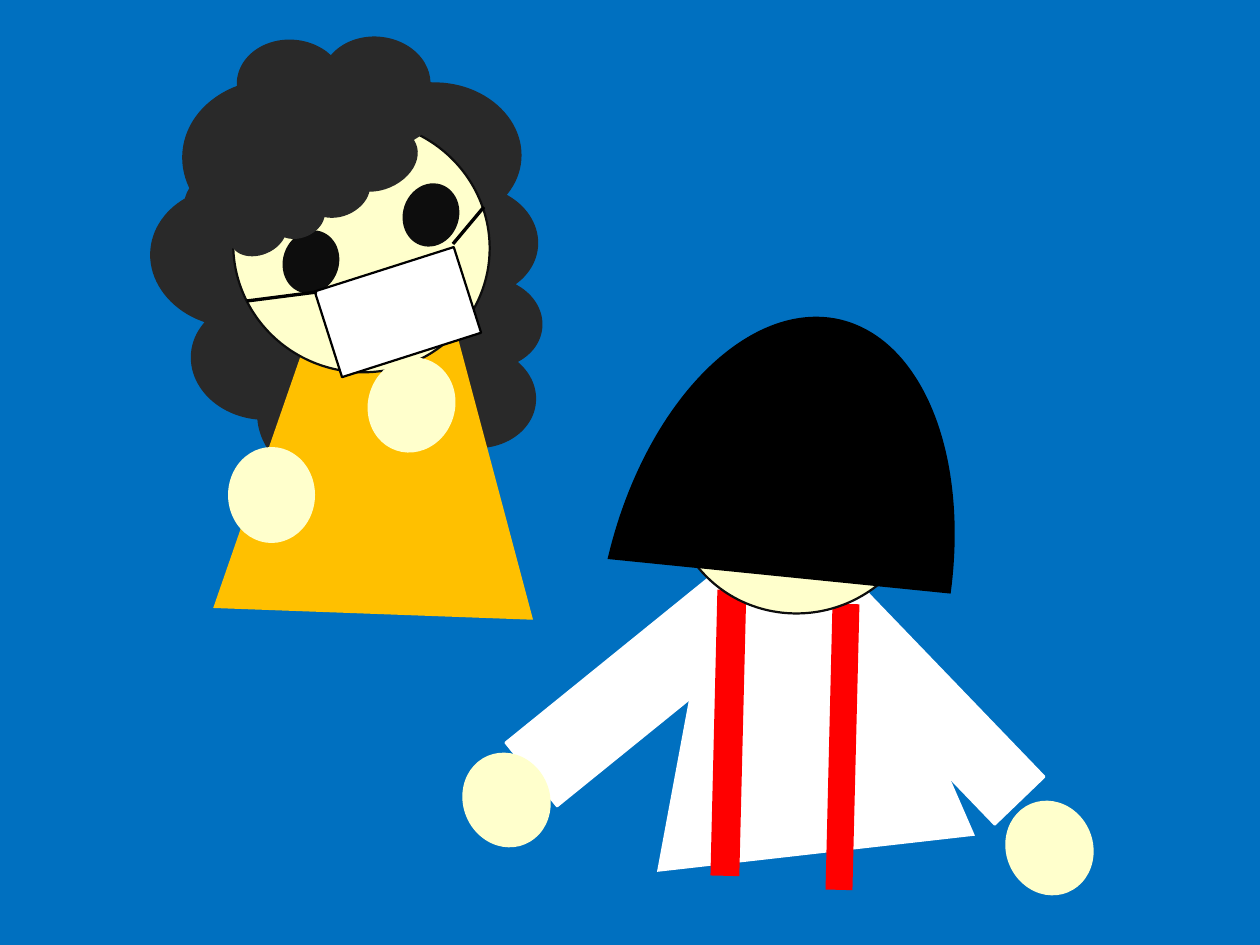
from dataclasses import dataclass

from lxml import etree
from pptx import Presentation
from pptx.dml.color import RGBColor
from pptx.enum.shapes import MSO_CONNECTOR, MSO_SHAPE
from pptx.oxml.ns import qn
from pptx.util import Emu, Pt

CLOUD = MSO_SHAPE.CLOUD
TRAPEZOID = MSO_SHAPE.TRAPEZOID
OVAL = MSO_SHAPE.OVAL
RECTANGLE = MSO_SHAPE.RECTANGLE
CHORD = MSO_SHAPE.CHORD
STRAIGHT = MSO_CONNECTOR.STRAIGHT

EMU_PER_PX = 5690
SLIDE_SIZE = (1260, 945)
HAND_SIZE = (87, 96)
EYE_SIZE = (56, 64)
FACE_SIZE = (257, 251)
GARMENT_SIZE = (320, 371)
GARMENT_TAPER = 0.355
DEGREE = 0.6
HAIR_ANGLES = (89.98, 255.46)


@dataclass(frozen=True)
class Theme:
    background: str = "0070C0"
    curls: str = "292929"
    skin: str = "FFFFCC"
    ink: str = "0D0D0D"
    black: str = "000000"
    white: str = "FFFFFF"
    dress: str = "FFC000"
    braces: str = "FF0000"
    outline: float = 1
    strap: float = 1.5


THEME = Theme()


def px(value):
    return Emu(value * EMU_PER_PX)


def color(value):
    return RGBColor.from_string(value)


def paint(fill, value):
    fill.solid()
    fill.fore_color.rgb = color(value)


def draw_line(line, value, width):
    paint(line.fill, value)
    line.width = Pt(width)


def add_part(parent, kind, position, size, fill, rotation=0, outline=None, adjustments=()):
    part = parent.shapes.add_shape(kind, *map(px, position + size))
    part.shadow.inherit = False
    part.rotation = rotation
    for index, value in enumerate(adjustments):
        part.adjustments[index] = value
    paint(part.fill, fill)
    if outline:
        draw_line(part.line, outline, THEME.outline)
    else:
        part.line.fill.background()


def add_hand(parent, position, rotation):
    add_part(parent, OVAL, position, HAND_SIZE, THEME.skin, rotation)


def add_face(parent, position, rotation):
    add_part(parent, OVAL, position, FACE_SIZE, THEME.skin, rotation, THEME.ink)


def add_garment(parent, position, fill, rotation):
    add_part(parent, TRAPEZOID, position, GARMENT_SIZE, fill, rotation,
             adjustments=[GARMENT_TAPER])


def add_strap(parent, start, end):
    strap = parent.shapes.add_connector(STRAIGHT, *map(px, start + end))
    draw_line(strap.line, THEME.black, THEME.strap)
    etree.SubElement(strap._element.spPr, qn("a:effectLst"))


def add_masked_child(slide):
    child = slide.shapes.add_group_shape()
    add_part(child, CLOUD, (124, 63), (452, 397), THEME.curls, 94.8)
    add_garment(child, (220, 243), THEME.dress, 2.1)
    add_face(child, (233, 121), 18.5)
    for position in ((403, 183), (283, 230)):
        add_part(child, OVAL, position, EYE_SIZE, THEME.ink, 18.5)
    add_hand(child, (368, 357), 18.5)
    add_part(child, CLOUD, (175, 90), (262, 141), THEME.curls, 157)
    add_part(child, RECTANGLE, (325, 267), (146, 90), THEME.white, 342.3, THEME.black)
    add_strap(child, (247, 301), (317, 292))
    add_strap(child, (453, 244), (484, 207))
    add_hand(child, (228, 447), 0)


def add_bowing_child(slide):
    child = slide.shapes.add_group_shape()
    for position, size, rotation in (
        ((596, 553), (82, 272), 51),
        ((895, 577), (69, 260), 316.1),
    ):
        add_part(child, RECTANGLE, position, size, THEME.white, rotation, THEME.white)
    add_garment(child, (635, 484), THEME.white, 353.5)
    for position, size in (((829, 604), (27, 286)), ((714, 590), (29, 286))):
        add_part(child, RECTANGLE, position, size, THEME.braces, 1.4)
    add_face(child, (670, 362), 337.2)
    add_hand(child, (463, 752), 337.2)
    add_part(child, CHORD, (489, 426), (572, 344), THEME.black, 103.1,
             adjustments=[angle * DEGREE for angle in HAIR_ANGLES])
    add_hand(slide, (1006, 800), 337.2)


def main():
    deck = Presentation()
    deck.slide_width, deck.slide_height = map(px, SLIDE_SIZE)
    slide = deck.slides.add_slide(deck.slide_layouts[6])
    paint(slide.background.fill, THEME.background)
    add_masked_child(slide)
    add_bowing_child(slide)
    deck.save("out.pptx")


if __name__ == "__main__":
    main()
